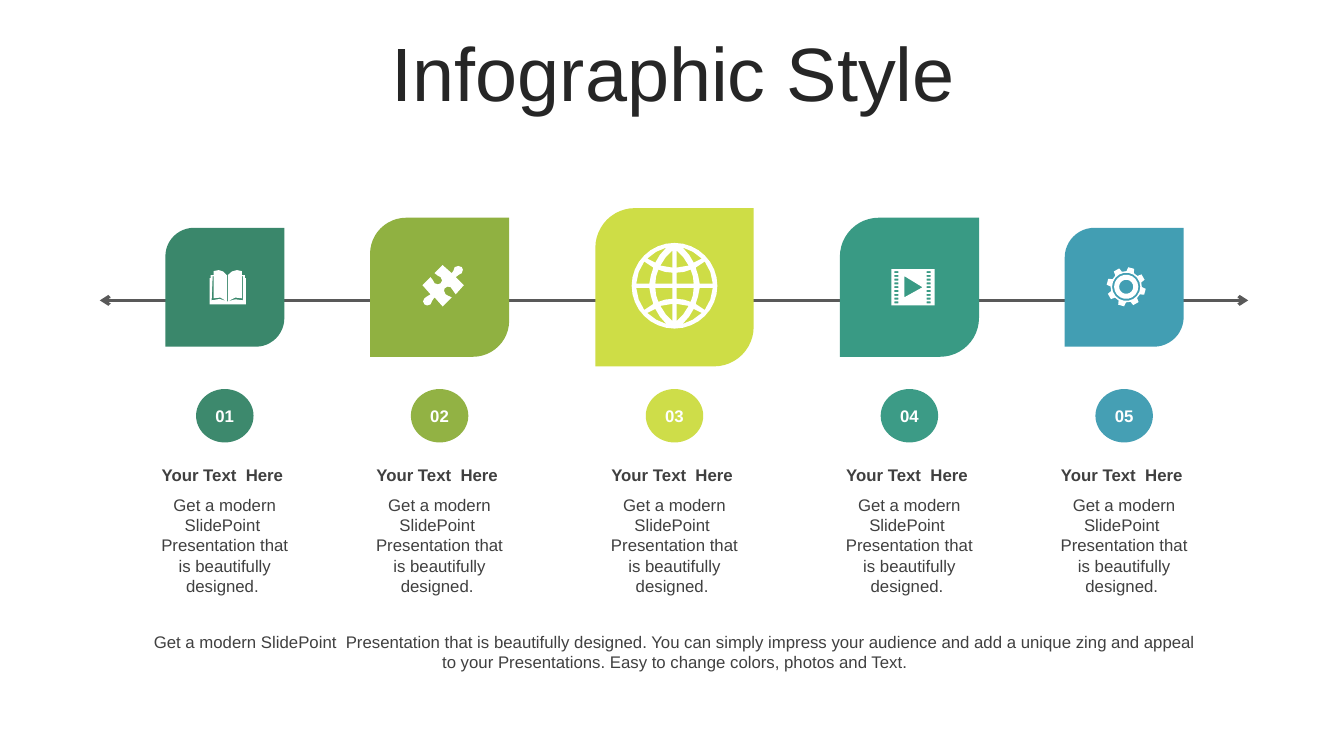
from dataclasses import dataclass
from math import cos, pi, radians, sin

from lxml.etree import SubElement
from pptx import Presentation
from pptx.dml.color import RGBColor
from pptx.enum.shapes import MSO_CONNECTOR, MSO_SHAPE
from pptx.enum.text import MSO_ANCHOR, PP_ALIGN
from pptx.oxml.ns import qn
from pptx.util import Inches, Pt

Point = tuple[float, float]
Contour = list[Point]


@dataclass(frozen=True)
class Theme:
    """Colours, font and type sizes of the slide."""

    font: str = "Arial"
    title: str = "262626"
    body: str = "404040"
    axis: str = "595959"
    white: str = "FFFFFF"
    title_size: int = 54
    body_size: int = 12


@dataclass(frozen=True)
class Step:
    """One stop on the timeline."""

    number: str
    center: float
    size: float
    corner: float
    color: str


THEME = Theme()
STEPS = [
    Step("01", 2.23, 1.18, 0.24, "3A876B"),
    Step("02", 4.36, 1.38, 0.26, "90B141"),
    Step("03", 6.69, 1.57, 0.25, "CEDD46"),
    Step("04", 9.02, 1.38, 0.28, "399A84"),
    Step("05", 11.15, 1.18, 0.25, "429EB3"),
]
HEADING = "Your Text  Here "
DESCRIPTION = "Get a modern SlidePoint  Presentation that is beautifully designed. "
SUMMARY = (
    "Get a modern SlidePoint  Presentation that is beautifully designed. "
    "You can simply impress your audience and add a unique zing and appeal to "
    "your Presentations. Easy to change colors, photos and Text."
)
LEAF_MIDDLE, AXIS_Y = 2.85, 2.98

BOOK = """M 2.25 2.99 L 2.26 2.99 C 2.32 2.97 2.35 2.96 2.41 2.98 L 2.41 2.74 L 2.4 2.74
L 2.4 2.96 C 2.36 2.94 2.31 2.95 2.26 2.99 L 2.26 2.73 C 2.29 2.7 2.31 2.68 2.35 2.68
L 2.4 2.69 L 2.4 2.73 L 2.43 2.73 L 2.43 2.76 L 2.44 2.76 L 2.44 3.02
L 2.08 3.02 L 2.08 2.76 L 2.09 2.76 L 2.09 2.73 L 2.12 2.73 L 2.12 2.69
L 2.17 2.68 C 2.2 2.68 2.23 2.7 2.25 2.73 L 2.25 2.99
C 2.21 2.95 2.16 2.94 2.12 2.96 L 2.12 2.74 L 2.11 2.74 L 2.1 2.98
C 2.16 2.95 2.2 2.97 2.25 2.99"""
PUZZLE = """M 4.58 2.65 C 4.59 2.66 4.6 2.69 4.58 2.71 C 4.56 2.73 4.54 2.72 4.52 2.75
L 4.6 2.83 L 4.52 2.92 C 4.49 2.9 4.5 2.87 4.47 2.85 C 4.45 2.84 4.43 2.84 4.41 2.86
C 4.4 2.87 4.4 2.9 4.42 2.92 C 4.44 2.94 4.45 2.93 4.48 2.95 L 4.39 3.04 L 4.31 2.95
C 4.28 2.98 4.29 2.99 4.27 3.02 C 4.25 3.04 4.22 3.03 4.21 3.02 C 4.19 3 4.19 2.98 4.21 2.96
C 4.22 2.93 4.25 2.95 4.27 2.92 L 4.19 2.83 L 4.27 2.75 C 4.3 2.77 4.29 2.79 4.31 2.81
C 4.33 2.83 4.36 2.82 4.37 2.81 C 4.39 2.8 4.39 2.77 4.37 2.75 C 4.34 2.73 4.34 2.74 4.31 2.71
L 4.39 2.63 L 4.48 2.71 C 4.51 2.69 4.49 2.68 4.51 2.65 C 4.53 2.63 4.56 2.64 4.58 2.65"""
GLOBE_QUADRANT = """M 0.02 0.02 L 0.02 0.13 C 0.07 0.13 0.12 0.14 0.16 0.16 C 0.18 0.12 0.19 0.07 0.19 0.02
M 0.25 0.02 C 0.24 0.08 0.23 0.13 0.21 0.18 L 0.3 0.24 C 0.35 0.18 0.37 0.1 0.38 0.02
M 0.02 0.35 L 0.02 0.18 L 0.14 0.2 C 0.11 0.26 0.07 0.31 0.02 0.35
M 0.08 0.38 C 0.13 0.33 0.17 0.28 0.19 0.23 L 0.27 0.27 C 0.22 0.32 0.15 0.36 0.08 0.38"""


def trace(outline: str) -> list[Contour]:
    """Turn move, line and cubic commands into contours of points."""
    contours: list[Contour] = []
    tokens = iter(outline.split())
    for command in tokens:
        count = 3 if command == "C" else 1
        points = [(float(next(tokens)), float(next(tokens))) for _ in range(count)]
        if command == "M":
            contours.append(points)
        elif command == "L":
            contours[-1] += points
        else:
            controls = [contours[-1][-1], *points]
            middle_x, middle_y = (
                sum(w * p[axis] for w, p in zip((1, 3, 3, 1), controls)) / 8 for axis in (0, 1)
            )
            contours[-1] += [(middle_x, middle_y), points[-1]]
    return contours


def polar(center: Point, radius: float, angle: float) -> Point:
    """Return the point at an angle in radians around a centre."""
    return center[0] + radius * cos(angle), center[1] + radius * sin(angle)


def circle(center: Point, radius: float, sides: int) -> Contour:
    """Return a circle as a contour."""
    return [polar(center, radius, 2 * pi * i / sides) for i in range(sides)]


def box(left: float, top: float, right: float, bottom: float) -> Contour:
    """Return a rectangle as a contour."""
    return [(left, top), (right, top), (right, bottom), (left, bottom)]


def globe() -> list[Contour]:
    """Return a globe whose cells mirror one quadrant."""
    x0, y0 = 6.69, 2.835
    cells = [
        [(x0 + sx * x, y0 + sy * y) for x, y in cell]
        for sx in (-1, 1)
        for sy in (-1, 1)
        for cell in trace(GLOBE_QUADRANT)
    ]
    return [circle((x0, y0), 0.425, 32), *cells]


def film() -> list[Contour]:
    """Return a film frame with perforations and a play mark."""
    holes = [
        box(left, 2.69 + row * 0.0375, left + 0.04, 2.71 + row * 0.0375)
        for left in (8.87, 9.19)
        for row in range(9)
    ]
    return [box(8.84, 2.67, 9.27, 3.03), [(8.97, 2.74), (8.97, 2.95), (9.15, 2.85)], *holes]


def gear() -> list[Contour]:
    """Return an eight-toothed gear with inner rings."""
    center = (11.17, 2.845)
    profile = ((0.155, -14), (0.195, -9), (0.195, 9), (0.155, 14))
    teeth = [
        polar(center, radius, radians(45 * tooth - 75 + offset))
        for tooth in range(8)
        for radius, offset in profile
    ]
    return [teeth, *(circle(center, radius, 18) for radius in (0.14, 0.12, 0.07))]


def paint(shape, color: str) -> None:
    """Give a shape a flat fill without line or shadow."""
    shape.shadow.inherit = False
    shape.fill.solid()
    shape.fill.fore_color.rgb = RGBColor.from_string(color)
    shape.line.fill.background()


def draw_icon(slide, contours: list[Contour]) -> None:
    """Draw contours as one white outline shape."""
    scaled = [[(Inches(x), Inches(y)) for x, y in contour] for contour in contours]
    builder = slide.shapes.build_freeform(*scaled[0][0], scale=1.0)
    builder.add_line_segments(scaled[0][1:], close=True)
    for contour in scaled[1:]:
        builder.move_to(*contour[0])
        builder.add_line_segments(contour[1:], close=True)
    paint(builder.convert_to_shape(), THEME.white)


def write(shape, text: str, color: str, size: int = THEME.body_size, bold: bool = False):
    """Write one centred run into a shape and return its paragraph."""
    shape.text_frame.word_wrap = True
    paragraph = shape.text_frame.paragraphs[0]
    paragraph.alignment = PP_ALIGN.CENTER
    run = paragraph.add_run()
    run.text = text
    run.font.name, run.font.size, run.font.bold = THEME.font, Pt(size), bold
    run.font.color.rgb = RGBColor.from_string(color)
    return paragraph


def add_box(slide, left: float, top: float, width: float, height: float):
    """Add an empty text box."""
    return slide.shapes.add_textbox(Inches(left), Inches(top), Inches(width), Inches(height))


def draw_axis(slide) -> None:
    """Draw the timeline with an arrow at both ends."""
    axis = slide.shapes.add_connector(
        MSO_CONNECTOR.STRAIGHT, Inches(0.99), Inches(AXIS_Y), Inches(12.38), Inches(AXIS_Y)
    )
    axis.line.color.rgb = RGBColor.from_string(THEME.axis)
    axis.line.width = Pt(2.25)
    for end in ("a:headEnd", "a:tailEnd"):
        SubElement(axis._element.spPr.find(qn("a:ln")), qn(end), type="arrow")
    SubElement(axis._element.spPr, qn("a:effectLst"))


def draw_step(slide, step: Step) -> None:
    """Draw the leaf, badge and texts of one step."""
    leaf = slide.shapes.add_shape(
        MSO_SHAPE.ROUND_2_DIAG_RECTANGLE,
        Inches(step.center - step.size / 2), Inches(LEAF_MIDDLE - step.size / 2),
        Inches(step.size), Inches(step.size),
    )
    leaf.adjustments[0], leaf.adjustments[1] = step.corner, 0
    paint(leaf, step.color)
    badge = slide.shapes.add_shape(
        MSO_SHAPE.OVAL, Inches(step.center - 0.285), Inches(3.86), Inches(0.57), Inches(0.53)
    )
    paint(badge, step.color)
    SubElement(badge._element.spPr.find(f".//{qn('a:srgbClr')}"), qn("a:alpha"), val="98000")
    frame = badge.text_frame
    frame.margin_left = frame.margin_right = frame.margin_top = frame.margin_bottom = 0
    frame.vertical_anchor = MSO_ANCHOR.MIDDLE
    write(badge, step.number, THEME.white, bold=True)
    left = step.center - 0.75
    write(add_box(slide, left, 4.56, 1.5, 0.3), HEADING, THEME.body, bold=True)
    write(add_box(slide, left, 4.86, 1.5, 1.11), DESCRIPTION, THEME.body)


def main() -> None:
    """Build and save the slide."""
    deck = Presentation()
    deck.slide_width, deck.slide_height = Inches(13.33), Inches(7.5)
    slide = deck.slides.add_slide(deck.slide_layouts[6])
    title = add_box(slide, 0.35, 0.37, 12.66, 0.79)
    title.text_frame.vertical_anchor = MSO_ANCHOR.MIDDLE
    write(title, "Infographic Style", THEME.title, THEME.title_size).line_spacing = 0.9
    draw_axis(slide)
    for step in STEPS:
        draw_step(slide, step)
    write(add_box(slide, 1.4, 6.22, 10.59, 0.5), SUMMARY, THEME.body)
    for icon in (trace(BOOK), trace(PUZZLE), globe(), film(), gear()):
        draw_icon(slide, icon)
    deck.save("out.pptx")


if __name__ == "__main__":
    main()
